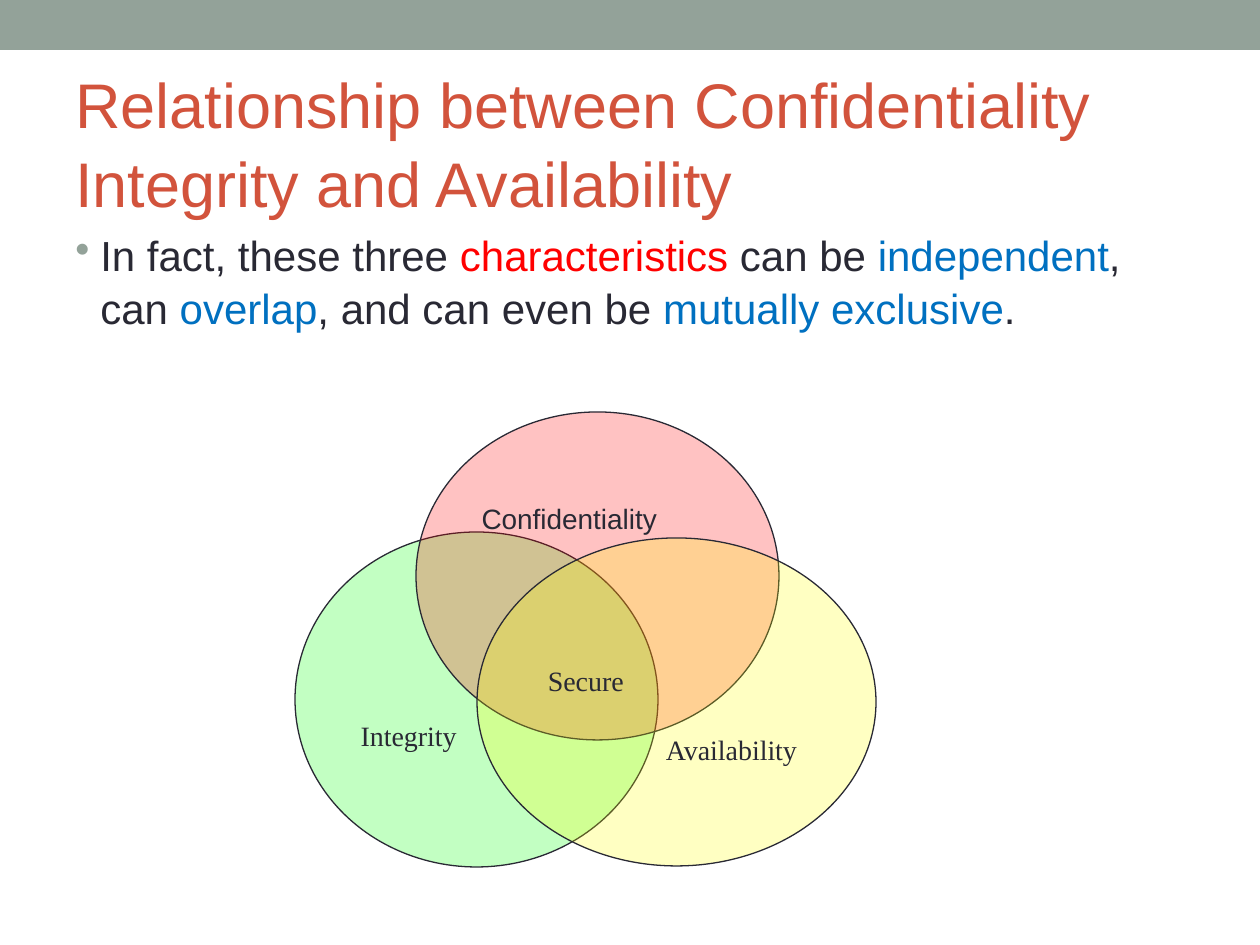
from lxml import etree
from pptx import Presentation
from pptx.dml.color import RGBColor
from pptx.enum.shapes import MSO_SHAPE
from pptx.enum.text import MSO_ANCHOR, PP_ALIGN
from pptx.oxml.ns import qn
from pptx.util import Emu, Pt

RECTANGLE, OVAL = MSO_SHAPE.RECTANGLE, MSO_SHAPE.OVAL
TOP, MIDDLE = MSO_ANCHOR.TOP, MSO_ANCHOR.MIDDLE
LEFT = PP_ALIGN.LEFT
PX = 914400 // 126
SANS, SERIF = "Arial", "Times New Roman"
SAGE = RGBColor(0x93, 0xA2, 0x99)
RUST = RGBColor(0xD2, 0x53, 0x3C)
INK = RGBColor(0x29, 0x29, 0x34)
RED = RGBColor(0xFF, 0x00, 0x00)
GREEN = RGBColor(0x00, 0xFF, 0x00)
YELLOW = RGBColor(0xFF, 0xFF, 0x00)
BLUE = RGBColor(0x00, 0x70, 0xC0)


def px(length):
    return Emu(length * PX)


def add_run(paragraph, text, *, size, color=INK, font=SANS):
    run = paragraph.add_run()
    run.text = text
    run.font.size = Pt(size)
    run.font.name = font
    run.font.color.rgb = color


class SlideBuilder:
    line_spacing = 1.05
    opacity = 24

    def __init__(self, slide):
        self.slide = slide

    def frame(self, shape, anchor=TOP, top_inset=6):
        frame = shape.text_frame
        frame.word_wrap = True
        frame.vertical_anchor = anchor
        frame.margin_top = px(top_inset)
        return frame

    def shape(self, kind, box, color):
        shape = self.slide.shapes.add_shape(kind, *map(px, box))
        shape.shadow.inherit = False
        shape.fill.solid()
        shape.fill.fore_color.rgb = color
        shape.line.fill.background()
        return shape

    def text(self, box, runs, *, size, anchor=TOP):
        shape = self.slide.shapes.add_textbox(*map(px, box))
        paragraph = self.frame(shape, anchor).paragraphs[0]
        paragraph.line_spacing = self.line_spacing
        for text, color in runs:
            add_run(paragraph, text, size=size, color=color)
        return paragraph

    def bullet(self, paragraph, indent, color):
        properties = paragraph._p.get_or_add_pPr()
        properties.set("marL", str(px(indent)))
        properties.set("indent", str(-px(indent)))
        bullet_color = etree.SubElement(properties, qn("a:buClr"))
        etree.SubElement(bullet_color, qn("a:srgbClr"), val=str(color))
        etree.SubElement(properties, qn("a:buChar"), char="•")

    def circle(self, box, color, labels, *, top_inset, font=SERIF):
        shape = self.shape(OVAL, box, color)
        color_element = shape._element.spPr.find(qn("a:solidFill"))[0]
        etree.SubElement(color_element, qn("a:alpha"), val=str(self.opacity * 1000))
        shape.line.color.rgb = INK
        shape.line.width = Pt(0.75)
        frame = self.frame(shape, top_inset=top_inset)
        for index, (text, indent, gap) in enumerate(labels):
            paragraph = frame.add_paragraph() if index else frame.paragraphs[0]
            paragraph.alignment = LEFT
            paragraph.space_before = px(gap)
            paragraph._p.get_or_add_pPr().set("marL", str(px(indent)))
            add_run(paragraph, text, size=16, font=font)


def main():
    presentation = Presentation()
    presentation.slide_width, presentation.slide_height = px(1260), px(945)
    slide = presentation.slides.add_slide(presentation.slide_layouts[6])
    builder = SlideBuilder(slide)

    builder.shape(RECTANGLE, (0, 0, 1260, 50), SAGE)
    title = "Relationship between Confidentiality Integrity and Availability"
    builder.text((63, 73, 1134, 136), [(title, RUST)], size=36, anchor=MIDDLE)

    builder.circle((295, 532, 363, 335), GREEN, [("Integrity", 0, 0)], top_inset=138)
    builder.circle((416, 412, 363, 328), RED, [("Confidentiality", 0, 0)],
                   top_inset=42, font=SANS)
    builder.circle((477, 538, 399, 328), YELLOW,
                   [("Secure", 0, 0), ("Availability", 118, 35)], top_inset=78)

    statement = builder.text((63, 221, 1114, 121), [
        ("In fact, these three ", INK), ("characteristics", RED),
        (" can be ", INK), ("independent", BLUE),
        (", can ", INK), ("overlap", BLUE),
        (", and can even be ", INK), ("mutually exclusive", BLUE), (".", INK),
    ], size=24)
    builder.bullet(statement, 25, SAGE)

    presentation.save("out.pptx")


if __name__ == "__main__":
    main()
